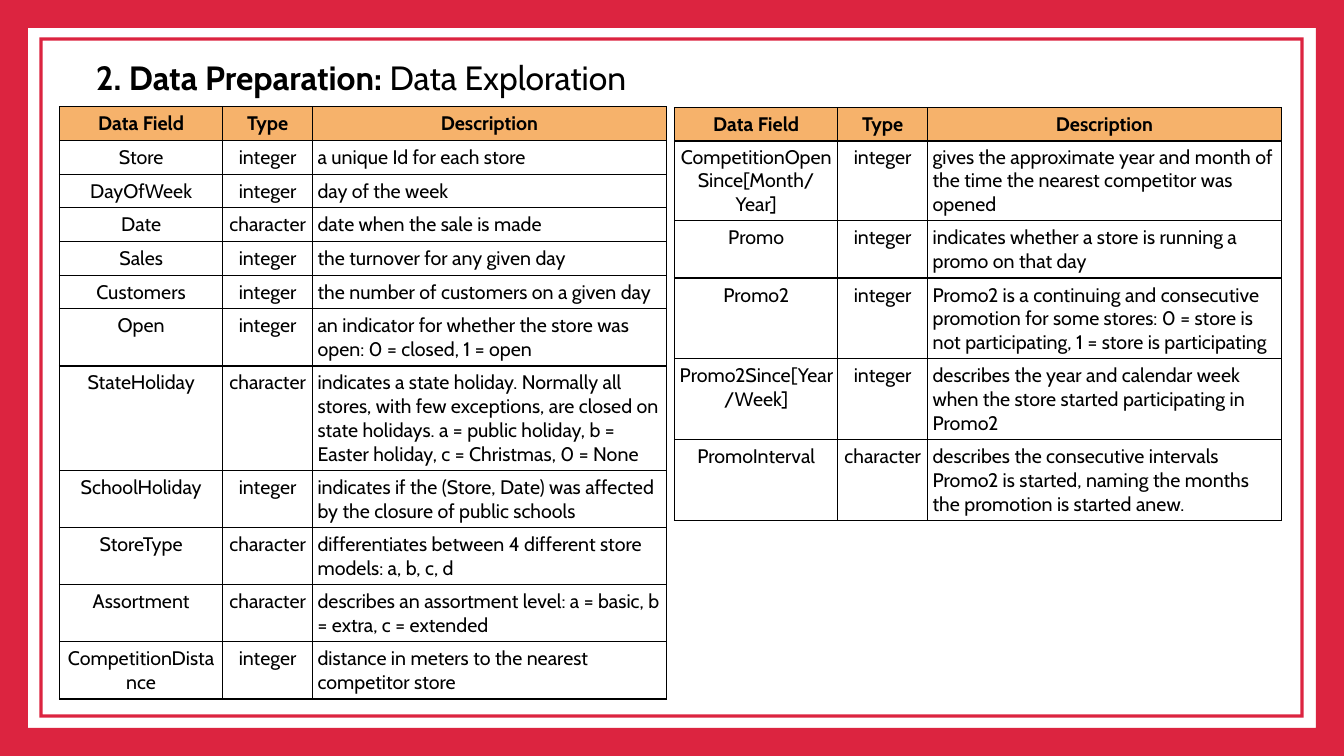
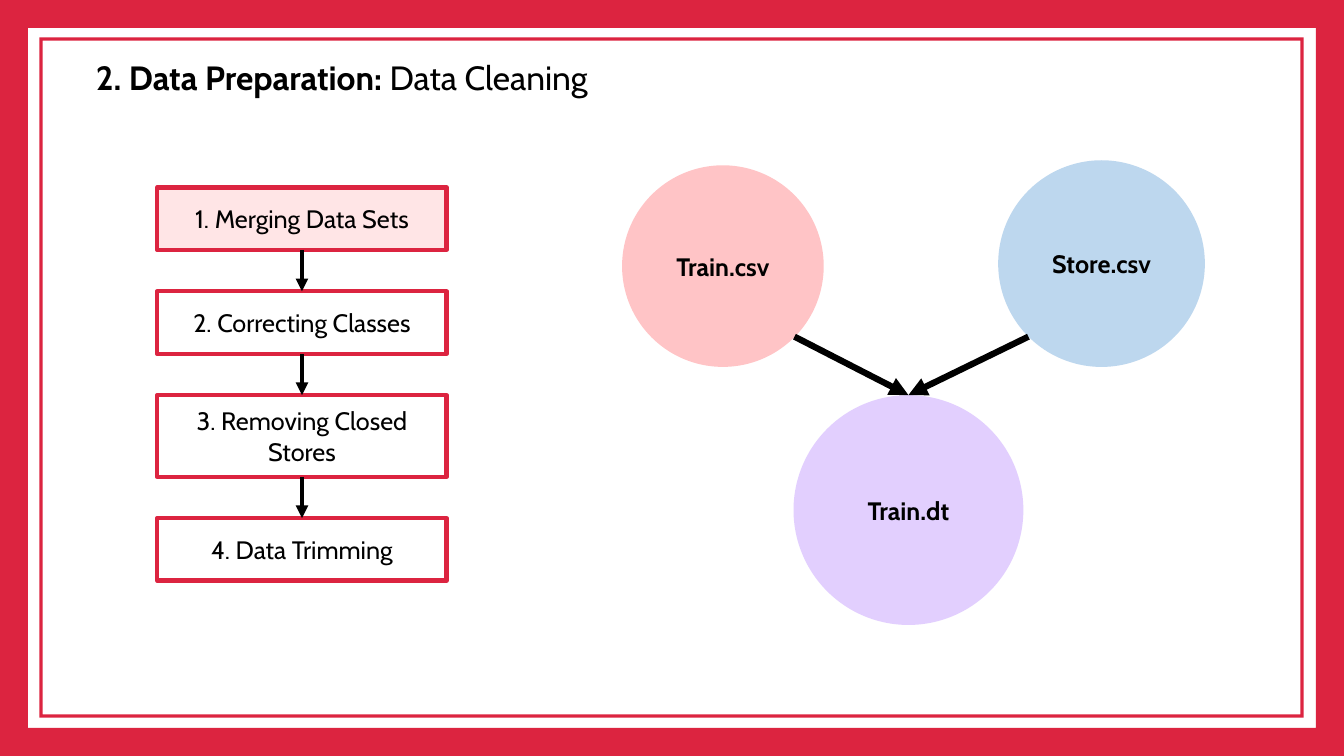
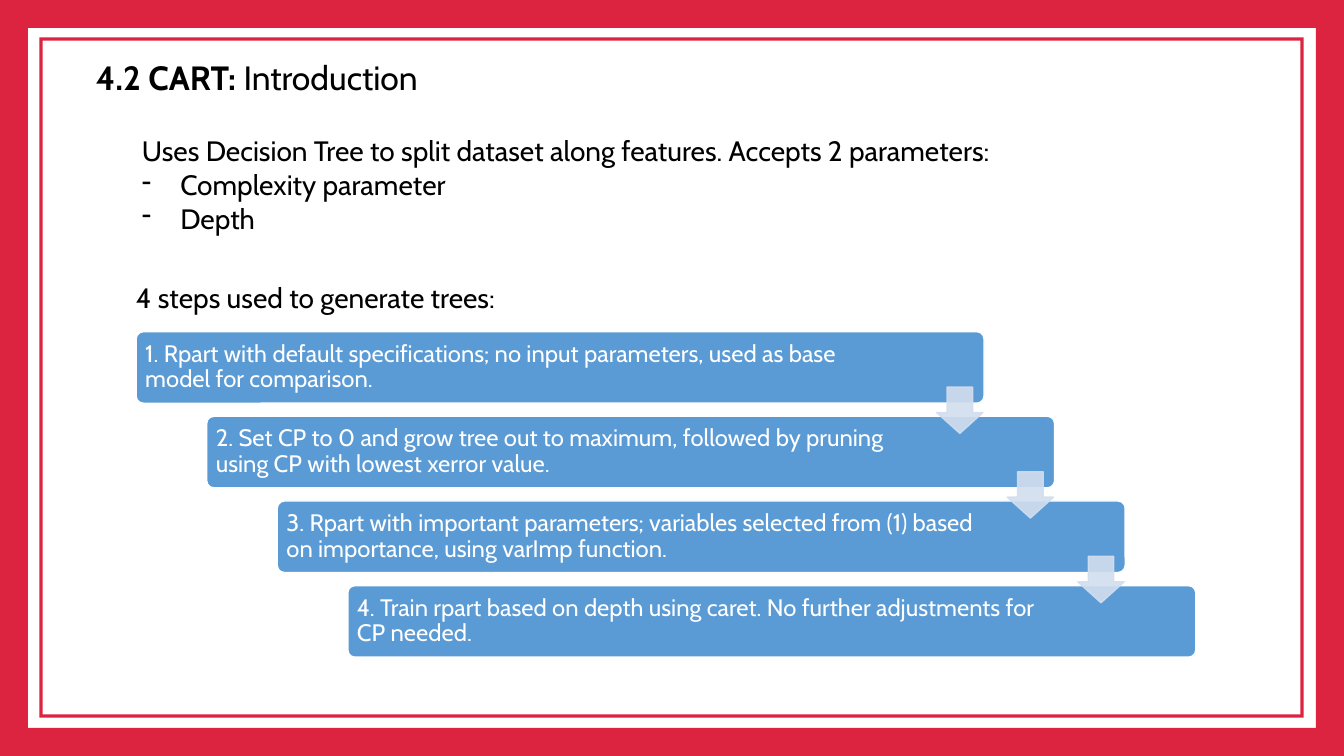
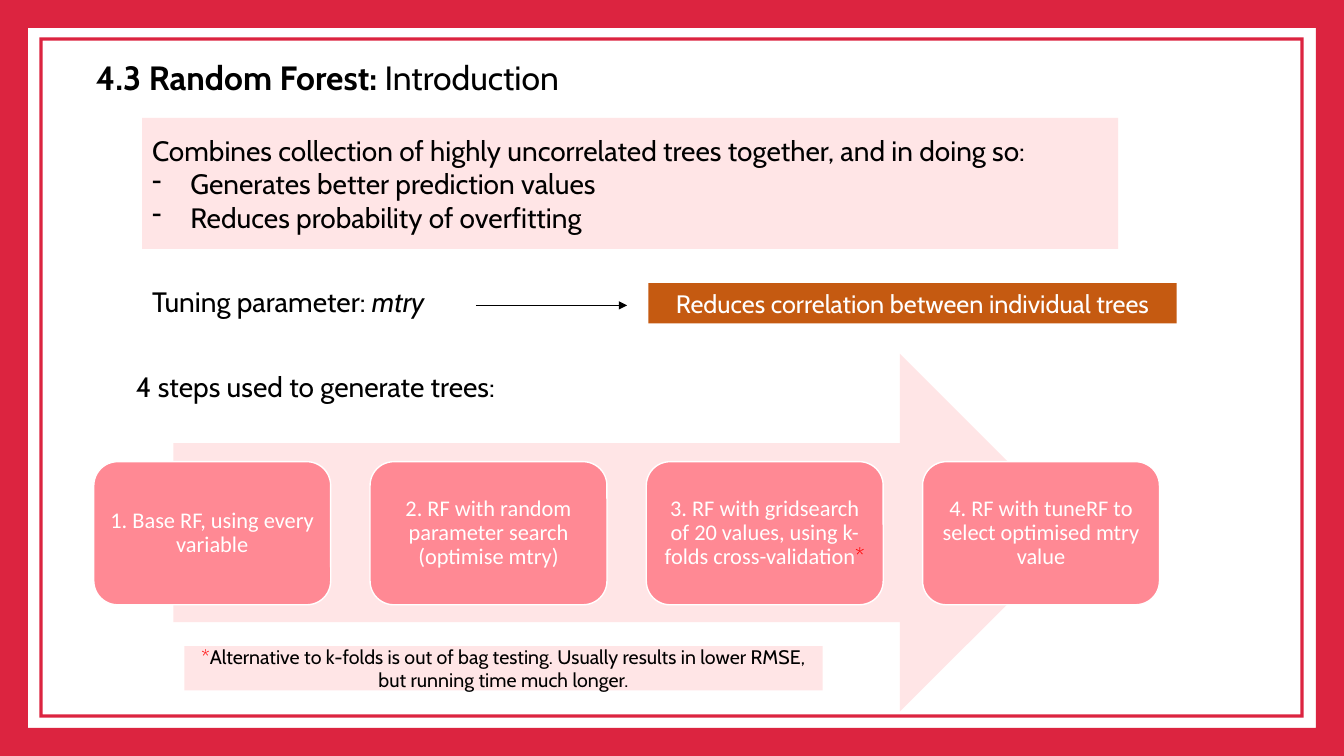
from lxml.etree import SubElement
from pptx import Presentation
from pptx.dml.color import RGBColor
from pptx.enum.shapes import MSO_CONNECTOR, MSO_SHAPE as Kind
from pptx.enum.text import MSO_ANCHOR as Anchor, MSO_AUTO_SIZE as Auto, PP_ALIGN as Align
from pptx.oxml.ns import qn
from pptx.util import Inches, Pt

RED = RGBColor(0xDC, 0x24, 0x40)
BLACK = RGBColor(0, 0, 0)
WHITE = RGBColor(0xFF, 0xFF, 0xFF)
BLUSH = RGBColor(0xFF, 0xE5, 0xE6)
PINK = RGBColor(0xFF, 0xC4, 0xC6)
ROSE = RGBColor(0xFF, 0x89, 0x94)
SKY = RGBColor(0xBD, 0xD7, 0xEE)
LILAC = RGBColor(0xE2, 0xCF, 0xFE)
BLUE = RGBColor(0x5B, 0x9B, 0xD5)
PALE = RGBColor(0xD2, 0xDE, 0xEF)
RUST = RGBColor(0xC5, 0x5A, 0x11)
AMBER = RGBColor(0xF6, 0xB2, 0x6B)
STAR = RGBColor(0xFF, 0, 0)
FACE = "Cabin"


def put(page, kind, box, fill=None, edge=None, wide=1, text="", size=18, ink=BLACK,
        face=FACE, bold=False, align=Align.CENTER, pad=None, adj=(), space=None):
    spot = [Inches(n) for n in box]
    if kind is None:
        shape = page.shapes.add_textbox(*spot)
    else:
        shape = page.shapes.add_shape(kind, *spot)
        shape.shadow.inherit = False
    for i, part in enumerate(adj):
        shape.adjustments[i] = part
    if fill is None:
        shape.fill.background()
    else:
        shape.fill.solid()
        shape.fill.fore_color.rgb = fill
    if edge is None:
        shape.line.fill.background()
    else:
        shape.line.color.rgb = edge
        shape.line.width = Pt(wide)
    if not text:
        return shape
    frame = shape.text_frame
    frame.word_wrap = True
    if kind is None:
        frame.auto_size = Auto.SHAPE_TO_FIT_TEXT
    else:
        frame.vertical_anchor = Anchor.MIDDLE
    if pad:
        frame.margin_left, frame.margin_top, frame.margin_right, frame.margin_bottom = [
            Inches(n) for n in pad]
    frame.text = text
    for para in frame.paragraphs:
        if para.text.startswith("- "):
            para.text = para.text[2:]
            props = para._p.get_or_add_pPr()
            props.set("marL", str(Inches(0.38)))
            props.set("indent", str(-Inches(0.38)))
            SubElement(props, qn("a:buChar"), char="-")
        para.alignment = align
        if space:
            para.line_spacing = space
        for run in para.runs:
            run.font.name = face
            run.font.size = Pt(size)
            run.font.bold = bold
            run.font.color.rgb = ink
    return shape


def join(page, start, end, wide):
    line = page.shapes.add_connector(
        MSO_CONNECTOR.STRAIGHT, *[Inches(n) for n in (*start, *end)])
    line.line.color.rgb = BLACK
    line.line.width = Pt(wide)
    props = line.element.spPr
    SubElement(props.find(qn("a:ln")), qn("a:tailEnd"), type="triangle")
    SubElement(props, qn("a:effectLst"))
    return line


deck = Presentation()
deck.slide_width = Inches(13.33)
deck.slide_height = Inches(7.5)

pages = []
for head, rest in [
    ("2. Data Preparation: ", "Data Exploration"),
    ("2. Data Preparation: ", "Data Cleaning"),
    ("4.2 CART: ", "Introduction"),
    ("4.3 Random Forest: ", "Introduction"),
]:
    page = deck.slides.add_slide(deck.slide_layouts[5])
    put(page, Kind.FRAME, (0.39, 0.37, 12.54, 6.75), RED, adj=[0.005])
    put(page, Kind.FRAME, (0, 0, 13.33, 7.5), RED, adj=[0.037])
    title = page.shapes.title
    title.left, title.top = Inches(0.85), Inches(0.51)
    title.width, title.height = Inches(6.45), Inches(0.5)
    frame = title.text_frame
    frame.word_wrap = True
    frame.auto_size = Auto.SHAPE_TO_FIT_TEXT
    frame.vertical_anchor = Anchor.TOP
    frame.text = head
    para = frame.paragraphs[0]
    para.alignment = Align.LEFT
    para.add_run().text = rest
    for run, bold in zip(para.runs, (True, False)):
        run.font.name = FACE
        run.font.size = Pt(24)
        run.font.bold = bold
        run.font.color.rgb = BLACK
    pages.append(page)
explore, clean, cart, forest = pages

top = (1, "Data Field", "Type", "Description")
left = [
    top,
    (1, "Store", "integer", "a unique Id for each store"),
    (1, "DayOfWeek", "integer", "day of the week"),
    (1, "Date", "character", "date when the sale is made"),
    (1, "Sales", "integer", "the turnover for any given day"),
    (1, "Customers", "integer", "the number of customers on a given day"),
    (2, "Open", "integer",
     "an indicator for whether the store was open: 0 = closed, 1 = open"),
    (4, "StateHoliday", "character",
     "indicates a state holiday. Normally all stores, with few exceptions, are closed on "
     "state holidays. a = public holiday, b = Easter holiday, c = Christmas, 0 = None"),
    (2, "SchoolHoliday", "integer",
     "indicates if the (Store, Date) was affected by the closure of public schools"),
    (2, "StoreType", "character",
     "differentiates between 4 different store models: a, b, c, d"),
    (2, "Assortment", "character",
     "describes an assortment level: a = basic, b = extra, c = extended"),
    (2, "CompetitionDistance", "integer",
     "distance in meters to the nearest competitor store"),
]
right = [
    (3, "CompetitionOpenSince[Month/Year]", "integer",
     "gives the approximate year and month of the time the nearest competitor was opened"),
    (2, "Promo", "integer", "indicates whether a store is running a promo on that day"),
    (3, "Promo2", "integer",
     "Promo2 is a continuing and consecutive promotion for some stores: "
     "0 = store is not participating, 1 = store is participating"),
    (3, "Promo2Since[Year/Week]", "integer",
     "describes the year and calendar week when the store started participating in Promo2"),
    (3, "PromoInterval", "character",
     "describes the consecutive intervals Promo2 is started, naming the months "
     "the promotion is started anew."),
]
for x, y, rows in [(0.59, 1.06, left), (6.69, 1.07, [top]), (6.69, 1.39, right)]:
    tall = [0.1 + 0.23 * row[0] for row in rows]
    table = explore.shapes.add_table(
        len(rows), 3, Inches(x), Inches(y), Inches(6.02), Inches(sum(tall))).table
    table.first_row = table.horz_banding = False
    for col, wide in zip(table.columns, (1.62, 0.89, 3.51)):
        col.width = Inches(wide)
    for r, row in enumerate(rows):
        table.rows[r].height = Inches(tall[r])
        first = row is top
        for c, text in enumerate(row[1:]):
            cell = table.cell(r, c)
            cell.margin_left = cell.margin_right = Inches(0.05)
            cell.margin_top = cell.margin_bottom = Inches(0.05)
            props = cell._tc.get_or_add_tcPr()
            for side in ("lnL", "lnR", "lnT", "lnB"):
                edge = SubElement(props, qn("a:" + side), w=str(Pt(1)))
                SubElement(SubElement(edge, qn("a:solidFill")), qn("a:srgbClr"), val=str(BLACK))
            if first:
                cell.fill.solid()
                cell.fill.fore_color.rgb = AMBER
            else:
                cell.fill.background()
            cell.text_frame.text = text
            para = cell.text_frame.paragraphs[0]
            para.alignment = Align.CENTER if first or c < 2 else Align.LEFT
            font = para.runs[0].font
            font.name = FACE
            font.size = Pt(14)
            font.bold = first
            font.color.rgb = BLACK

y, last = 1.86, None
for text, tall, fill in [
    ("1. Merging Data Sets", 0.62, BLUSH),
    ("2. Correcting Classes", 0.62, None),
    ("3. Removing Closed Stores", 0.81, None),
    ("4. Data Trimming", 0.62, None),
]:
    step = put(clean, Kind.RECTANGLE, (1.56, y, 2.87, tall), fill, RED, 3, text)
    if last:
        line = join(clean, (3, y - 0.41), (3, y), 3)
        line.begin_connect(last, 2)
        line.end_connect(step, 0)
    y += tall + 0.41
    last = step

for text, x, y, size, fill in [
    ("Train.csv", 6.17, 1.64, 2, PINK),
    ("Store.csv", 9.9, 1.59, 2.05, SKY),
    ("Train.dt", 7.87, 3.92, 2.28, LILAC),
]:
    disc = put(clean, Kind.OVAL, (x, y, size, size), fill, text=text, bold=True)
for x in (7.88, 10.2):
    line = join(clean, (x, 3.34), (9.01, 3.92), 4.5)
    line.end_connect(disc, 0)

put(cart, None, (1.31, 1.28, 10.37, 1.11), size=20, align=Align.LEFT,
    text="Uses Decision Tree to split dataset along features. Accepts 2 parameters:\n"
         "- Complexity parameter\n- Depth")
for page, y in ((cart, 2.73), (forest, 3.62)):
    put(page, None, (1.25, y, 10.7, 0.44), size=20, align=Align.LEFT,
        text="4 steps used to generate trees:")

for i, text in enumerate([
    "1. Rpart with default specifications; no input parameters, used as base model "
    "for comparison.",
    "2. Set CP to 0 and grow tree out to maximum, followed by pruning using CP with "
    "lowest xerror value.",
    "3. Rpart with important parameters; variables selected from (1) based on importance, "
    "using varImp function.",
    "4. Train rpart based on depth using caret. No further adjustments for CP needed.",
]):
    put(cart, Kind.ROUNDED_RECTANGLE, (1.35 + 0.7 * i, 3.29 + 0.84 * i, 8.41, 0.71),
        BLUE, WHITE, text=text, size=17, ink=WHITE, align=Align.LEFT,
        pad=(0.07, 0.07, 1.25, 0.07), adj=[0.1], space=0.9)
for i in range(3):
    arrow = put(cart, Kind.DOWN_ARROW, (9.29 + 0.7 * i, 3.84 + 0.84 * i, 0.46, 0.46),
                PALE, PALE, adj=[0.55, 0.45])
    for tint in arrow.element.spPr.iter(qn("a:srgbClr")):
        SubElement(tint, qn("a:alpha"), val="90000")

put(forest, Kind.RECTANGLE, (1.41, 1.17, 9.68, 1.3), BLUSH, size=20, align=Align.LEFT,
    text="Combines collection of highly uncorrelated trees together, and in doing so:\n"
         "- Generates better prediction values\n- Reduces probability of overfitting")
tune = put(forest, None, (1.41, 2.77, 10.37, 0.44), size=20, align=Align.LEFT,
           text="Tuning parameter: ")
run = tune.text_frame.paragraphs[0].add_run()
run.text = "mtry"
run.font.name = FACE
run.font.size = Pt(20)
run.font.italic = True
run.font.color.rgb = BLACK
put(forest, Kind.RECTANGLE, (6.43, 2.81, 5.24, 0.4), RUST, ink=WHITE,
    text="Reduces correlation between individual trees")
join(forest, (4.72, 3.03), (6.22, 3.03), 0.5)

put(forest, Kind.RIGHT_ARROW, (1.72, 3.51, 8.98, 3.55), BLUSH)
for i, text in enumerate([
    "1. Base RF, using every variable",
    "2. RF with random parameter search (optimise mtry)",
    "3. RF with gridsearch of 20 values, using k-folds cross-validation",
    "4. RF with tuneRF to select optimised mtry value",
]):
    step = put(forest, Kind.ROUNDED_RECTANGLE, (0.93 + 2.74 * i, 4.58, 2.35, 1.42),
               ROSE, WHITE, text=text, size=16, ink=WHITE, face="Calibri",
               pad=[0.07] * 4, space=0.9)
    if i == 2:
        run = step.text_frame.paragraphs[0].add_run()
        run.text = "*"
        run.font.name = FACE
        run.font.size = Pt(16)
        run.font.color.rgb = STAR

note = put(forest, Kind.RECTANGLE, (1.83, 6.41, 6.33, 0.44), BLUSH, text="*", size=14, ink=STAR)
run = note.text_frame.paragraphs[0].add_run()
run.text = ("Alternative to k-folds is out of bag testing. Usually results in lower RMSE, "
            "but running time much longer.")
run.font.name = FACE
run.font.size = Pt(14)
run.font.color.rgb = BLACK

deck.save("out.pptx")
